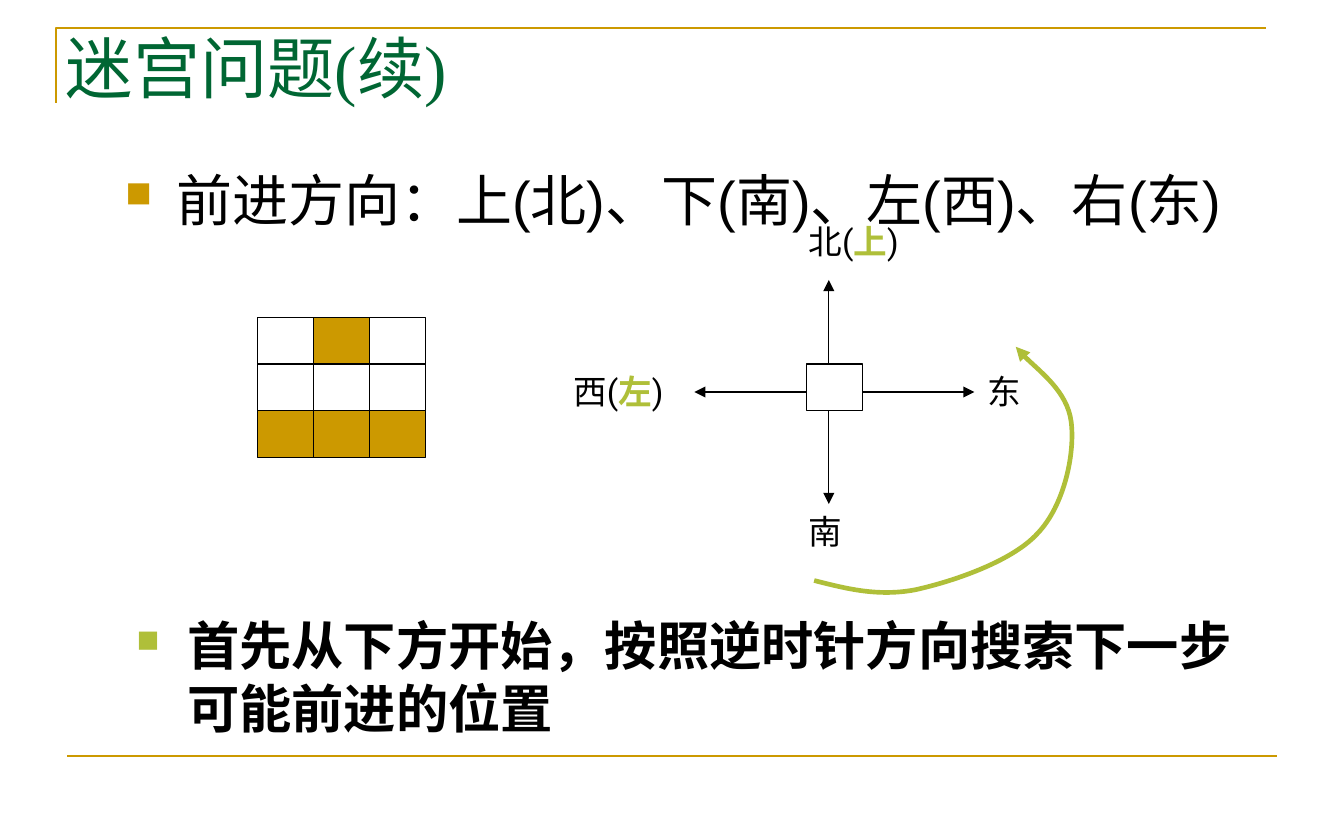
from itertools import product
from typing import NamedTuple, Optional

from lxml.etree import SubElement
from pptx import Presentation
from pptx.dml.color import RGBColor
from pptx.enum.shapes import MSO_CONNECTOR as Link, MSO_SHAPE as Shape
from pptx.enum.text import MSO_ANCHOR as Anchor, MSO_AUTO_SIZE as Fit
from pptx.oxml.ns import qn
from pptx.util import Inches, Pt

GOLD = RGBColor(0xCC, 0x99, 0x00)
LIME = RGBColor(0xAF, 0xBF, 0x39)
PINE = RGBColor(0x00, 0x66, 0x33)
BLACK = RGBColor(0, 0, 0)

deck = Presentation()
deck.slide_width, deck.slide_height = Inches(10), Inches(6.25)
slide = deck.slides.add_slide(deck.slide_layouts[6])
shapes = slide.shapes

# The slide is a grid of 24 columns and 18 rows; one maze cell is one square
COL, ROW = deck.slide_width / 24, deck.slide_height / 18
Spot = tuple[float, float]


class Text(NamedTuple):
    spot: Spot
    size: Spot
    runs: tuple[str, ...]  # every second run is a lime accent
    points: float
    face: str = "Roboto"
    color: RGBColor = BLACK
    bold: bool = False
    bullet: Optional[tuple[RGBColor, int]] = None
    anchor: Anchor = Anchor.TOP
    fit: Fit = Fit.NONE


def place(spot: Spot) -> tuple[int, int]:
    return round(spot[0] * COL), round(spot[1] * ROW)


def stroke(item, color: RGBColor, width: float, arrow: bool = False) -> None:
    item.line.color.rgb = color
    item.line.width = Pt(width)
    if arrow:
        SubElement(item.line._get_or_add_ln(), qn("a:tailEnd"), type="triangle")


def draw_line(start: Spot, end: Spot, color: RGBColor, width: float,
              arrow: bool = False) -> None:
    line = shapes.add_connector(Link.STRAIGHT, *place(start), *place(end))
    stroke(line, color, width, arrow)
    SubElement(line._element.spPr, qn("a:effectLst"))


def draw_path(spots: list[Spot], color: RGBColor, width: float,
              curve: bool = False) -> None:
    first, *rest = map(place, spots)
    pen = shapes.build_freeform(*first)
    pen.add_line_segments(rest, close=False)
    item = pen.convert_to_shape()
    item.fill.background()
    item.shadow.inherit = False
    stroke(item, color, width, arrow=curve)
    if curve:  # each three points become one Bézier segment
        steps = list(item._element.iter(qn("a:lnTo")))
        for i in range(0, len(steps), 3):
            bend = SubElement(steps[i].getparent(), qn("a:cubicBezTo"))
            for step in steps[i:i + 3]:
                bend.append(step[0])
                step.getparent().remove(step)


def draw_cell(spot: Spot, full: bool = False) -> None:
    cell = shapes.add_shape(Shape.RECTANGLE, *place(spot), *place((1, 1)))
    cell.shadow.inherit = False
    stroke(cell, BLACK, 0.75)
    if full:
        cell.fill.solid()
        cell.fill.fore_color.rgb = GOLD
    else:
        cell.fill.background()


def add_bullet(para, color: RGBColor, share: int) -> None:
    props = para._p.get_or_add_pPr()
    props.set("marL", str(Inches(0.38)))
    props.set("indent", str(-Inches(0.38)))
    tint = SubElement(props, qn("a:buClr"))
    SubElement(tint, qn("a:srgbClr"), val=str(color))
    SubElement(props, qn("a:buSzPct"), val=str(share * 1000))
    SubElement(props, qn("a:buChar"), char="■")


def draw_text(text: Text) -> None:
    frame = shapes.add_textbox(*place(text.spot), *place(text.size)).text_frame
    frame.word_wrap = True
    frame.auto_size = text.fit
    frame.vertical_anchor = text.anchor
    para = frame.paragraphs[0]
    if text.bullet:
        add_bullet(para, *text.bullet)
    para.font.size, para.font.name = Pt(text.points), text.face
    para.font.color.rgb, para.font.bold = text.color, text.bold
    for i, words in enumerate(text.runs):
        run = para.add_run()
        run.text = words
        if i % 2:
            run.font.color.rgb, run.font.bold = LIME, True


# Frame lines
draw_path([(1, 2.2), (1, 0.6), (22.6, 0.6)], GOLD, 1.5)
draw_line((1.2, 16.2), (22.8, 16.2), GOLD, 1.5)

# Maze with its walls
WALLS = {(0, 1), (2, 0), (2, 1), (2, 2)}
for row, col in product(range(3), repeat=2):
    draw_cell((4.6 + col, 6.8 + row), (row, col) in WALLS)

# Compass: arrows out of one cell
for start, end in [
    ((14.8, 7.8), (14.8, 6)),
    ((14.8, 8.8), (14.8, 10.8)),
    ((14.4, 8.4), (12.4, 8.4)),
    ((15.4, 8.4), (17.4, 8.4)),
]:
    draw_line(start, end, BLACK, 0.75, arrow=True)
draw_cell((14.4, 7.8))

# Anticlockwise sweep from south to east
draw_path([
    (14.54, 12.44),
    (15.1, 12.61), (15.67, 12.79), (16.34, 12.64),
    (16.99, 12.47), (18.07, 12.04), (18.53, 11.43),
    (19.01, 10.83), (19.2, 9.71), (19.13, 9.04),
    (19.06, 8.38), (18.29, 7.69), (18.14, 7.43),
], LIME, 2.5, curve=True)

# Compass labels
for spot, width, runs in [
    ((17.4, 7.8), 1.4, ("东",)),
    ((14.2, 10.8), 1.4, ("南",)),
    ((14.2, 4.6), 3.2, ("北(", "上", ")")),
    ((10, 7.8), 2.2, ("西(", "左", ")")),
]:
    draw_text(Text(spot, (width, 1.15), runs, 18, fit=Fit.SHAPE_TO_FIT_TEXT))

# Title and the two points
draw_text(Text((0.94, 0.6), (21.6, 1.84), ("迷宫问题(续)",), 36,
               "Times New Roman", PINE, anchor=Anchor.BOTTOM))
draw_text(Text((2, 3.4), (20.2, 1.8),
               ("前进方向：上(北)、下(南)、左(西)、右(东)",), 30,
               "Arial", bullet=(GOLD, 65)))
draw_text(Text((2.2, 13), (20.4, 2.4),
               ("首先从下方开始，按照逆时针方向搜索下一步可能前进的位置",), 28,
               bold=True, bullet=(LIME, 60)))

deck.save("out.pptx")
